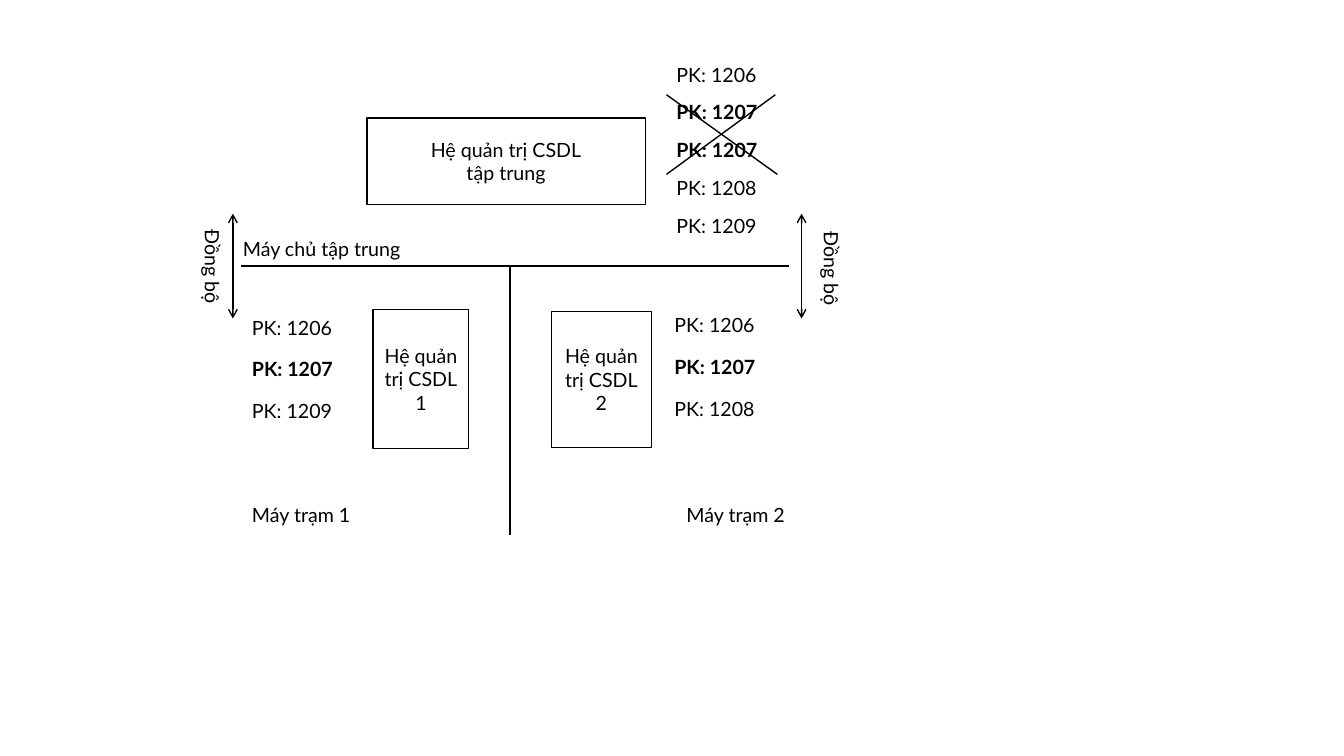
"""Draw a central database server that synchronises keys with two workstations."""
from dataclasses import dataclass

from lxml.etree import SubElement
from pptx import Presentation
from pptx.dml.color import RGBColor
from pptx.enum.shapes import MSO_CONNECTOR as Conn, MSO_SHAPE as Shp
from pptx.enum.text import MSO_ANCHOR as Anchor, PP_ALIGN as Align
from pptx.oxml.ns import qn
from pptx.util import Inches, Length, Pt

BLACK = RGBColor(0x00, 0x00, 0x00)
WHITE = RGBColor(0xFF, 0xFF, 0xFF)
FONT = "Lato"
SIZE = Pt(14)
CELL = 0.1
COLS, ROWS = 133.3, 75
LABEL_H = 4.1
KEY_W = 11


@dataclass(frozen=True)
class Box:
    col: float
    row: float
    cols: float
    rows: float
    lines: tuple[str, ...]


@dataclass(frozen=True)
class Label:
    col: float
    row: float
    cols: float
    text: str
    bold: bool = False
    turn: float = 0


@dataclass(frozen=True)
class KeyList:
    col: float
    row: float
    step: float
    keys: tuple[int, ...]


@dataclass(frozen=True)
class Line:
    col1: float
    row1: float
    col2: float
    row2: float
    arrows: bool = False


DBMS = "Hệ quản trị CSDL"
SYNC = "Đồng bộ"
SHARED_KEY = 1207

BOXES = (
    Box(37, 30.7, 9.5, 13.8, (DBMS, "1")),
    Box(54.7, 30.9, 9.9, 13.5, (DBMS, "2")),
    Box(36.4, 11.7, 27.6, 8.6, (DBMS, "tập trung")),
)
LABELS = (
    Label(24, 49.4, 15.4, "Máy trạm 1"),
    Label(67.1, 49.4, 15.4, "Máy trạm 2"),
    Label(23.1, 23, 20.2, "Máy chủ tập trung"),
    Label(15.3, 25.1, 10.8, SYNC, turn=90),
    Label(76.7, 25.3, 10.8, SYNC, turn=90),
)
KEY_LISTS = (
    KeyList(66.1, 5.7, 3.75, (1206, 1207, 1207, 1208, 1209)),
    KeyList(24, 30.8, 4.15, (1206, 1207, 1209)),
    KeyList(65.9, 30.5, 4.2, (1206, 1207, 1208)),
)
LINES = (
    Line(50.6, 26.4, 50.6, 53.1),
    Line(23.9, 26.4, 78.3, 26.4),
    Line(66.1, 9.4, 77.1, 17.3),
    Line(76.9, 9.4, 66.1, 17.3),
    Line(23.1, 21.2, 23.1, 31.6, arrows=True),
    Line(79.5, 21.2, 79.5, 31.6, arrows=True),
)


def grid(cells: float) -> Length:
    return Inches(cells * CELL)


def add_run(p, text: str, bold: bool = False) -> None:
    r = p.add_run()
    r.text = text
    r.font.name, r.font.size, r.font.bold = FONT, SIZE, bold
    r.font.color.rgb = BLACK


def draw_box(s, box: Box) -> None:
    sp = s.shapes.add_shape(Shp.RECTANGLE, *map(grid, (box.col, box.row, box.cols, box.rows)))
    sp.shadow.inherit = False
    sp.fill.solid()
    sp.fill.fore_color.rgb = WHITE
    sp.line.color.rgb = BLACK
    sp.line.width = Pt(1)
    tf = sp.text_frame
    tf.word_wrap = True
    tf.vertical_anchor = Anchor.MIDDLE
    for i, text in enumerate(box.lines):
        p = tf.add_paragraph() if i else tf.paragraphs[0]
        p.alignment = Align.CENTER
        add_run(p, text)


def draw_label(s, label: Label) -> None:
    sp = s.shapes.add_textbox(*map(grid, (label.col, label.row, label.cols, LABEL_H)))
    sp.rotation = label.turn
    sp.text_frame.word_wrap = True
    add_run(sp.text_frame.paragraphs[0], label.text, label.bold)


def draw_keys(s, keys: KeyList) -> None:
    for i, key in enumerate(keys.keys):
        row = keys.row + i * keys.step
        draw_label(s, Label(keys.col, row, KEY_W, f"PK: {key}", bold=key == SHARED_KEY))


def draw_line(s, line: Line) -> None:
    ends = map(grid, (line.col1, line.row1, line.col2, line.row2))
    sp = s.shapes.add_connector(Conn.STRAIGHT, *ends)
    sp.line.color.rgb = BLACK
    sp.line.width = Pt(1)
    if line.arrows:
        for end in ("a:headEnd", "a:tailEnd"):
            SubElement(sp.line._get_or_add_ln(), qn(end), type="arrow")
    SubElement(sp._element.spPr, qn("a:effectLst"))


def main() -> None:
    prs = Presentation()
    prs.slide_width, prs.slide_height = grid(COLS), grid(ROWS)
    s = prs.slides.add_slide(prs.slide_layouts[6])
    for box in BOXES:
        draw_box(s, box)
    for label in LABELS:
        draw_label(s, label)
    for keys in KEY_LISTS:
        draw_keys(s, keys)
    for line in LINES:
        draw_line(s, line)
    prs.save("out.pptx")


if __name__ == "__main__":
    main()
